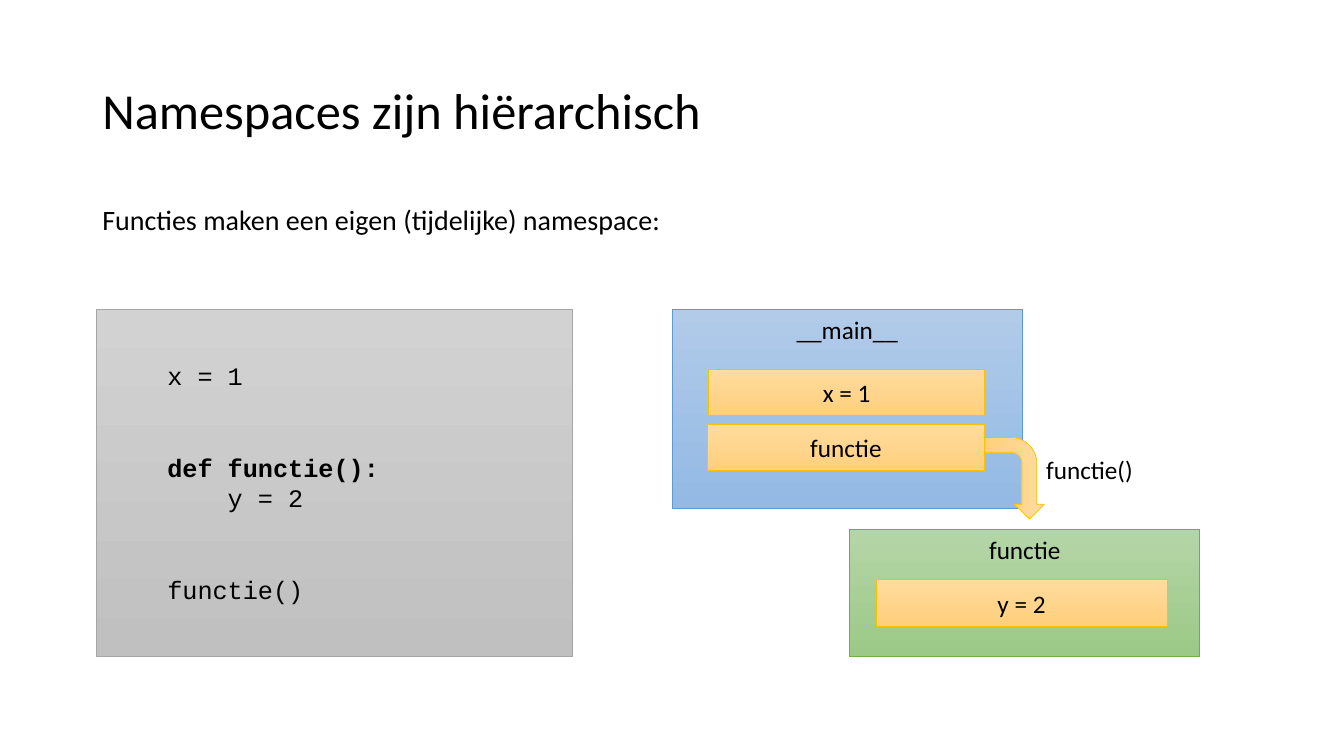
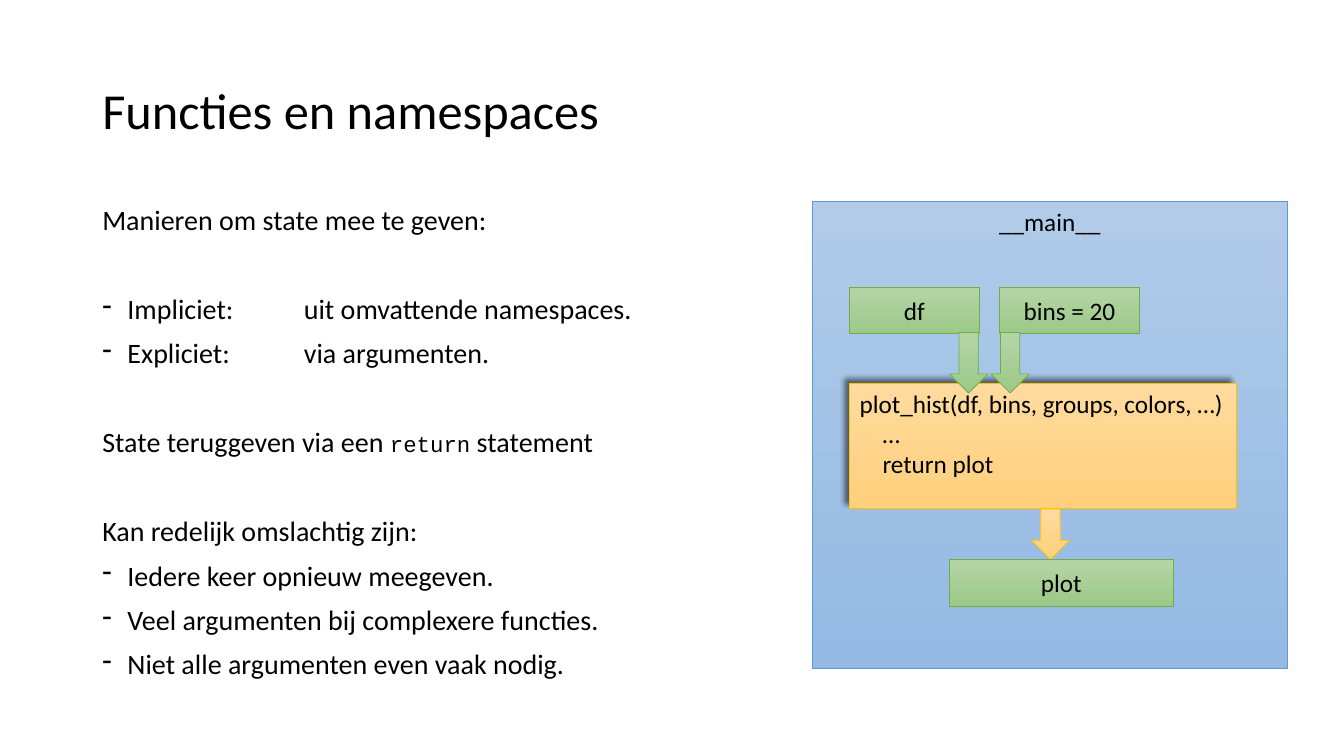
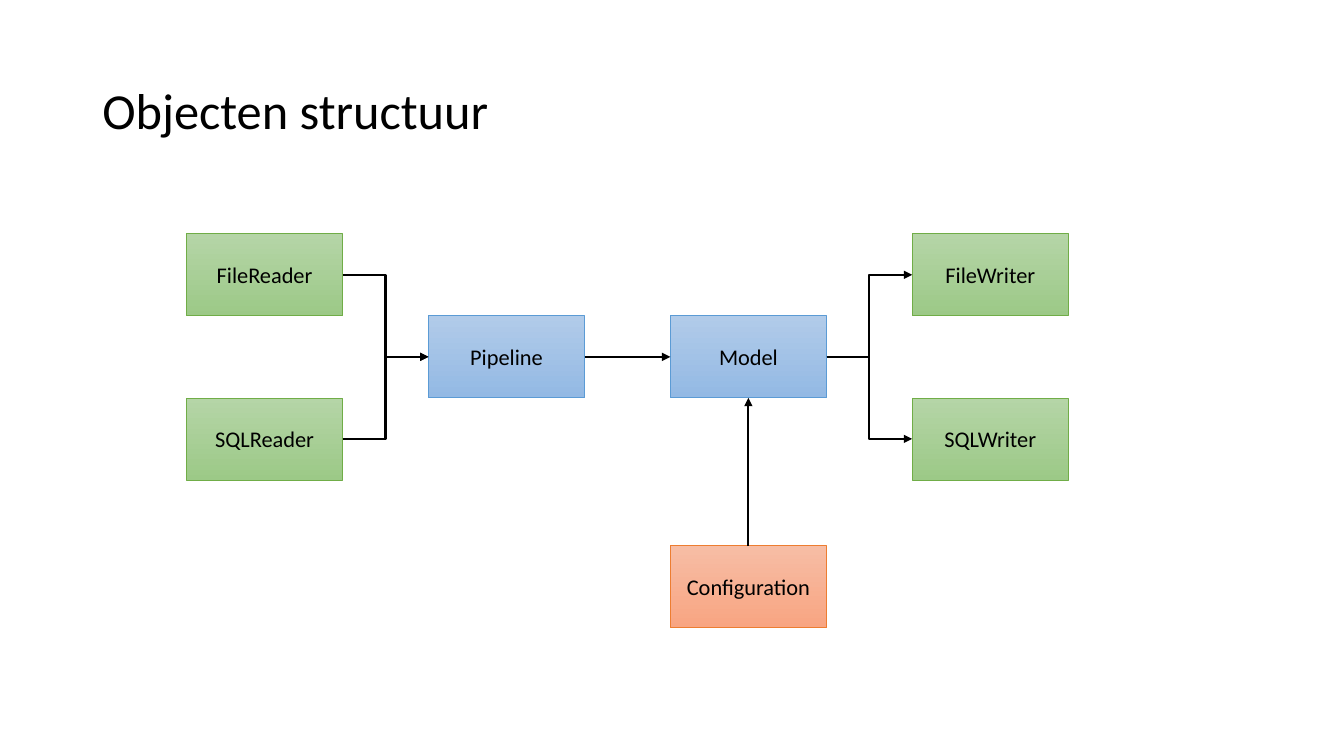
"""Three slides on namespaces and the structure of objects."""
from lxml.etree import SubElement as sub
from pptx import Presentation
from pptx.dml.color import RGBColor as RGB
from pptx.enum.shapes import MSO_CONNECTOR as LINK, MSO_SHAPE as FORM
from pptx.enum.text import MSO_ANCHOR as ANCHOR, PP_ALIGN as ALIGN
from pptx.oxml.ns import qn
from pptx.util import Pt

BLACK = RGB(0, 0, 0)
BLUE = RGB(0xB1, 0xCB, 0xE9), RGB(0x93, 0xB9, 0xE4), RGB(0x5B, 0x9B, 0xD5)
GREEN = RGB(0xB5, 0xD5, 0xA7), RGB(0x9C, 0xC9, 0x87), RGB(0x70, 0xAD, 0x47)
GOLD = RGB(0xFF, 0xDB, 0x9E), RGB(0xFF, 0xD0, 0x7C), RGB(0xFF, 0xC0, 0x00)
CORAL = RGB(0xF7, 0xBD, 0xA5), RGB(0xF8, 0xA5, 0x82), RGB(0xED, 0x7D, 0x31)
GRAY = RGB(0xD2, 0xD2, 0xD2), RGB(0xC0, 0xC0, 0xC0), RGB(0xA5, 0xA5, 0xA5)
SANS, MONO = "Calibri", "Courier New"
BAR = 33.3


def write(frame, text, size=18, font=SANS, bold=False, align=ALIGN.LEFT,
          lead=None, before=0, indent=0, bullet=False):
    """Add a paragraph; parts between backticks are set as code."""
    para = frame.paragraphs[0]
    if para.runs:
        para = frame.add_paragraph()
    para.alignment, para.line_spacing, para.space_before = align, lead, Pt(before)
    for i, part in enumerate(text.split("`")):
        run = para.add_run()
        run.text = part
        run.font.name = MONO if i % 2 else font
        run.font.size = Pt(16 if i % 2 else size)
        run.font.bold = bold
        run.font.color.rgb = BLACK
    props = para._p.get_or_add_pPr()
    props.set("marL", str(Pt(indent)))
    if bullet:
        props.set("indent", str(-Pt(indent)))
        sub(props, qn("a:buChar"), char="-")
        tabs = sub(props, qn("a:tabLst"))
        sub(tabs, qn("a:tab"), pos=str(Pt(144)), algn="l")


def box(slide, hue, x, y, wide, high, text="", size=18, top=False, form=FORM.RECTANGLE):
    """Add a shaded shape with an optional centred label."""
    shape = slide.shapes.add_shape(form, Pt(x), Pt(y), Pt(wide), Pt(high))
    shape.shadow.inherit = False
    shape.fill.gradient()
    shape.fill.gradient_angle = 270
    for stop, tint in zip(shape.fill.gradient_stops, hue):
        stop.color.rgb = tint
    shape.line.color.rgb = hue[2]
    shape.line.width = Pt(0.5)
    shape.text_frame.vertical_anchor = ANCHOR.TOP if top else ANCHOR.MIDDLE
    if text:
        write(shape.text_frame, text, size, align=ALIGN.CENTER)
    return shape


deck = Presentation()
deck.slide_width, deck.slide_height = Pt(960), Pt(540)
pages = []
for title in ("Namespaces zijn hiërarchisch", "Functies en namespaces", "Objecten structuur"):
    page = deck.slides.add_slide(deck.slide_layouts[6])
    head = page.shapes.add_textbox(Pt(66), Pt(28.75), Pt(828), Pt(104.4)).text_frame
    head.word_wrap = True
    head.vertical_anchor = ANCHOR.MIDDLE
    write(head, title, 36, lead=0.9)
    pages.append(page)
tree, state, graph = pages

bodies = []
for page, high in ((tree, 68.4), (state, 367.2)):
    body = page.shapes.add_textbox(Pt(66), Pt(143.75), Pt(479.5), Pt(high)).text_frame
    body.word_wrap = True
    bodies.append(body)
intro, points = bodies

write(intro, "Functies maken een eigen (tijdelijke) namespace:", 20, lead=0.9, before=10)
box(tree, BLUE, 480.2, 221, 250, 142, "__main__", top=True)
box(tree, GOLD, 505.5, 303, 197.5, BAR, "functie")
box(tree, GREEN, 607, 378, 250, 90.7, "functie", top=True)
box(tree, GOLD, 625.7, 414, 208, BAR, "y = 2")
box(tree, GOLD, 506, 263.5, 197.5, BAR, "x = 1")
box(tree, GOLD, 695.5, 320.4, 58.3, 42.5, form=FORM.BENT_ARROW).rotation = 90
code = box(tree, GRAY, 69.1, 221, 340, 247.7).text_frame
code.margin_left = Pt(50.4)
for text, bold, before, indent in (
    ("x = 1", False, 0, 0),
    ("def functie():", True, 44, 0),
    ("y = 2", False, 0, 43.2),
    ("functie()", False, 44, 0),
):
    write(code, text, font=MONO, bold=bold, before=before, indent=indent)
call = tree.shapes.add_textbox(Pt(740.2), Pt(321), Pt(80), Pt(29)).text_frame
call.word_wrap = False
write(call, "functie()")

for text, before, bullet in (
    ("Manieren om state mee te geven:", 10, False),
    ("Impliciet:\tuit omvattende namespaces.", 42, True),
    ("Expliciet:\tvia argumenten.", 10, True),
    ("State teruggeven via een `return` statement", 42, False),
    ("Kan redelijk omslachtig zijn:", 42, False),
    ("Iedere keer opnieuw meegeven.", 10, True),
    ("Veel argumenten bij complexere functies.", 10, True),
    ("Niet alle argumenten even vaak nodig.", 10, True),
):
    write(points, text, 20, lead=0.9, before=before, indent=18 * bullet, bullet=bullet)
box(state, BLUE, 580.3, 144, 339, 333.4, "__main__", top=True)
box(state, GREEN, 607, 205, 92.2, BAR, "df")
plot = box(state, GOLD, 607, 273.6, 275.8, 89.3, top=True)
glow = sub(plot.element.spPr.find(qn("a:effectLst")), qn("a:outerShdw"),
           blurRad=str(Pt(4)), dist=str(Pt(5)), dir=str(220 * 60000))
tone = sub(glow, qn("a:srgbClr"), val=str(BLACK))
sub(tone, qn("a:alpha"), val="50000")
for text, indent in (("plot_hist(df, bins, groups, colors, …)", 0),
                     ("…", 16.3), ("return plot", 16.3)):
    write(plot.text_frame, text, indent=indent)
box(state, GREEN, 714.2, 205, 99.4, BAR, "bins = 20")
for hue, x, y, high in ((GREEN, 678.2, 237.6, 43.2), (GREEN, 707.8, 237.6, 43.2),
                        (GOLD, 736.6, 363.6, 36)):
    box(state, hue, x, y, 27.4, high, form=FORM.DOWN_ARROW)
box(state, GREEN, 678.2, 399.6, 159.8, BAR, "plot")

nodes = {}
for name, hue, col, row in (
    ("Model", BLUE, 2, 1),
    ("FileReader", GREEN, 0, 0),
    ("Configuration", CORAL, 2, 3.8),
    ("Pipeline", BLUE, 1, 1),
    ("SQLReader", GREEN, 0, 2),
    ("FileWriter", GREEN, 3, 0),
    ("SQLWriter", GREEN, 3, 2),
):
    nodes[name] = box(graph, hue, 133.2 + 172.8 * col, 167 + 58.6 * row,
                      111.6, 58.6, name, 16)
TOP, LEFT, BASE, RIGHT = range(4)
for start, out, end, into, kind in (
    ("FileReader", RIGHT, "Pipeline", LEFT, LINK.ELBOW),
    ("SQLReader", RIGHT, "Pipeline", LEFT, LINK.ELBOW),
    ("Pipeline", RIGHT, "Model", LEFT, LINK.STRAIGHT),
    ("Model", RIGHT, "FileWriter", LEFT, LINK.ELBOW),
    ("Model", RIGHT, "SQLWriter", LEFT, LINK.ELBOW),
    ("Configuration", TOP, "Model", BASE, LINK.STRAIGHT),
):
    wire = graph.shapes.add_connector(kind, 0, 0, 0, 0)
    wire.begin_connect(nodes[start], out)
    wire.end_connect(nodes[end], into)
    wire.line.color.rgb = BLACK
    wire.line.width = Pt(1.5)
    sub(wire.line._get_or_add_ln(), qn("a:tailEnd"), type="triangle")
    sub(wire.element.spPr, qn("a:effectLst"))

deck.save("out.pptx")
